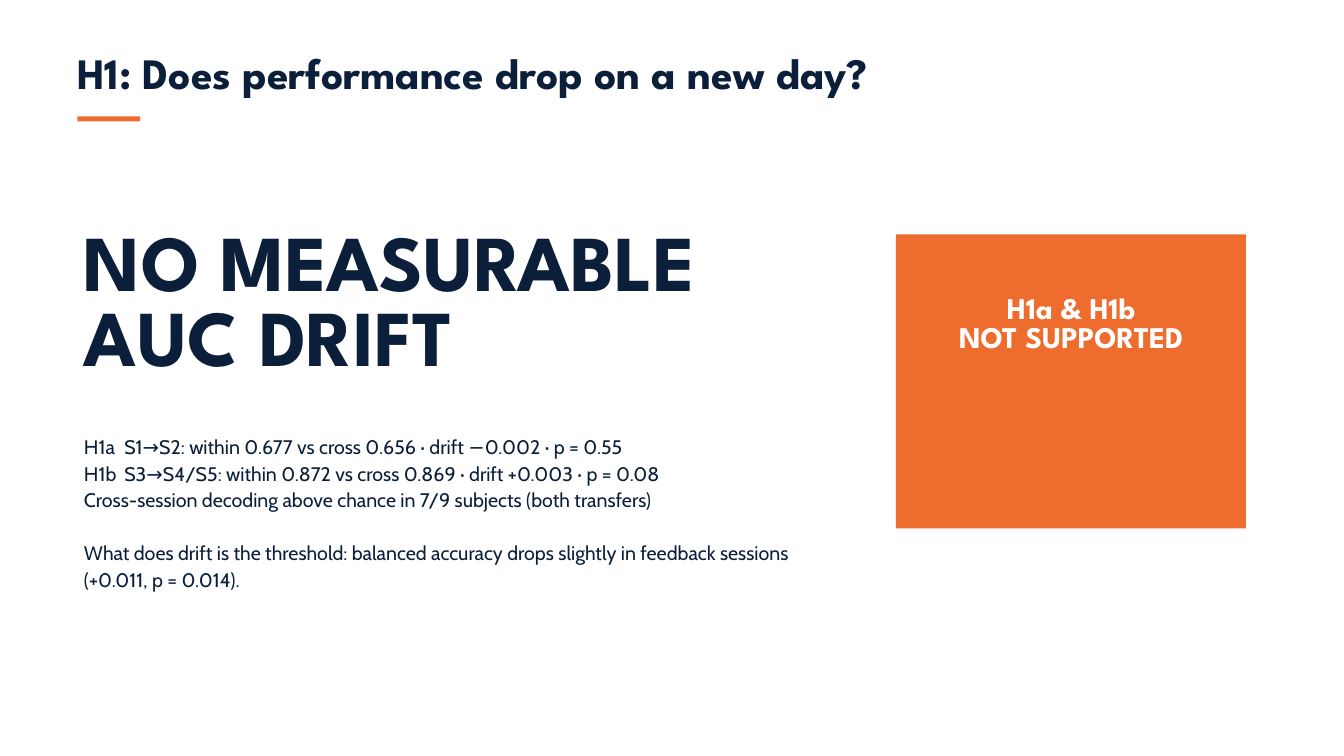
"""Build the slide that reports the result for hypothesis H1."""
from dataclasses import dataclass

from lxml.etree import SubElement
from pptx import Presentation
from pptx.dml.color import RGBColor
from pptx.enum.shapes import MSO_SHAPE as Kind
from pptx.enum.text import MSO_ANCHOR as Anchor, MSO_AUTO_SIZE as Fit, PP_ALIGN as Align
from pptx.oxml.ns import qn
from pptx.util import Inches, Pt

WIDE, HIGH = Inches(20), Inches(11.25)
NAVY, ORANGE, WHITE = "0B1F3A", "EF6C2F", "FFFFFF"
HEAD, BODY = "League Spartan", "Cabin"


@dataclass(frozen=True)
class Box:
    left: float
    top: float
    width: float
    height: float

    def place(self, shape) -> None:
        shape.left, shape.width = (int(WIDE * n / 100) for n in (self.left, self.width))
        shape.top, shape.height = (int(HIGH * n / 100) for n in (self.top, self.height))


@dataclass(frozen=True)
class Style:
    size: float
    pitch: float
    face: str = HEAD
    color: str = NAVY
    bold: bool = True
    align: Align = Align.LEFT


def paint(fill, color: str) -> None:
    fill.solid()
    fill.fore_color.rgb = RGBColor.from_string(color)


def block(slide, box: Box, color: str) -> None:
    shape = slide.shapes.add_shape(Kind.RECTANGLE, 0, 0, 0, 0)
    box.place(shape)
    shape.shadow.inherit = False
    paint(shape.fill, color)
    shape.line.fill.background()


def write(shape, box: Box, text: str, style: Style):
    box.place(shape)
    frame = shape.text_frame
    frame.text = text
    frame.word_wrap = True
    frame.auto_size = Fit.NONE
    frame.vertical_anchor = Anchor.TOP
    frame.margin_left = frame.margin_right = frame.margin_top = frame.margin_bottom = 0
    for para in frame.paragraphs:
        para.alignment = style.align
        para.line_spacing = Pt(style.pitch)
        para.space_before = Pt(0)
        for run in para.runs:
            font = run.font
            font.name, font.size, font.bold = style.face, Pt(style.size), style.bold
            paint(font.fill, style.color)
    return frame.paragraphs


def label(slide, box: Box, text: str, style: Style):
    return write(slide.shapes.add_textbox(0, 0, 0, 0), box, text, style)


def add_tab(para, stop: int) -> None:
    tabs = SubElement(para._p.get_or_add_pPr(), qn("a:tabLst"))
    SubElement(tabs, qn("a:tab"), pos=str(stop), algn="l")


def main() -> None:
    deck = Presentation()
    deck.slide_width, deck.slide_height = WIDE, HIGH
    slide = deck.slides.add_slide(deck.slide_layouts[5])
    paint(slide.background.fill, WHITE)

    write(slide.shapes.title, Box(5.75, 6.93, 78.1, 6.22),
          "H1: Does performance drop on a new day?", Style(46.5, 48.8))
    block(slide, Box(5.75, 15.4, 4.68, 0.66), ORANGE)
    label(slide, Box(6.25, 30.67, 54.15, 20.44),
          "NO MEASURABLE\nAUC DRIFT", Style(84.8, 80.5))
    block(slide, Box(66.65, 31, 26.05, 38.9), ORANGE)
    label(slide, Box(69.8, 39.29, 19.8, 7.56), "H1a & H1b\nNOT SUPPORTED",
          Style(32.2, 30.6, color=WHITE, align=Align.CENTER))

    notes = Style(21, 28.4, BODY, bold=False)
    paras = label(slide, Box(6.25, 57.16, 57.3, 20.44), "\n".join((
        "H1a\tS1→S2: within 0.677 vs cross 0.656 · drift −0.002 · p = 0.55",
        "H1b\tS3→S4/S5: within 0.872 vs cross 0.869 · drift +0.003 · p = 0.08",
        "Cross-session decoding above chance in 7/9 subjects (both transfers)",
        "What does drift is the threshold: balanced accuracy drops slightly "
        "in feedback sessions (+0.011, p = 0.014).",
    )), notes)
    for para in paras[:2]:
        add_tab(para, Inches(0.6))
    paras[-1].space_before = Pt(notes.pitch)

    deck.save("out.pptx")


if __name__ == "__main__":
    main()
